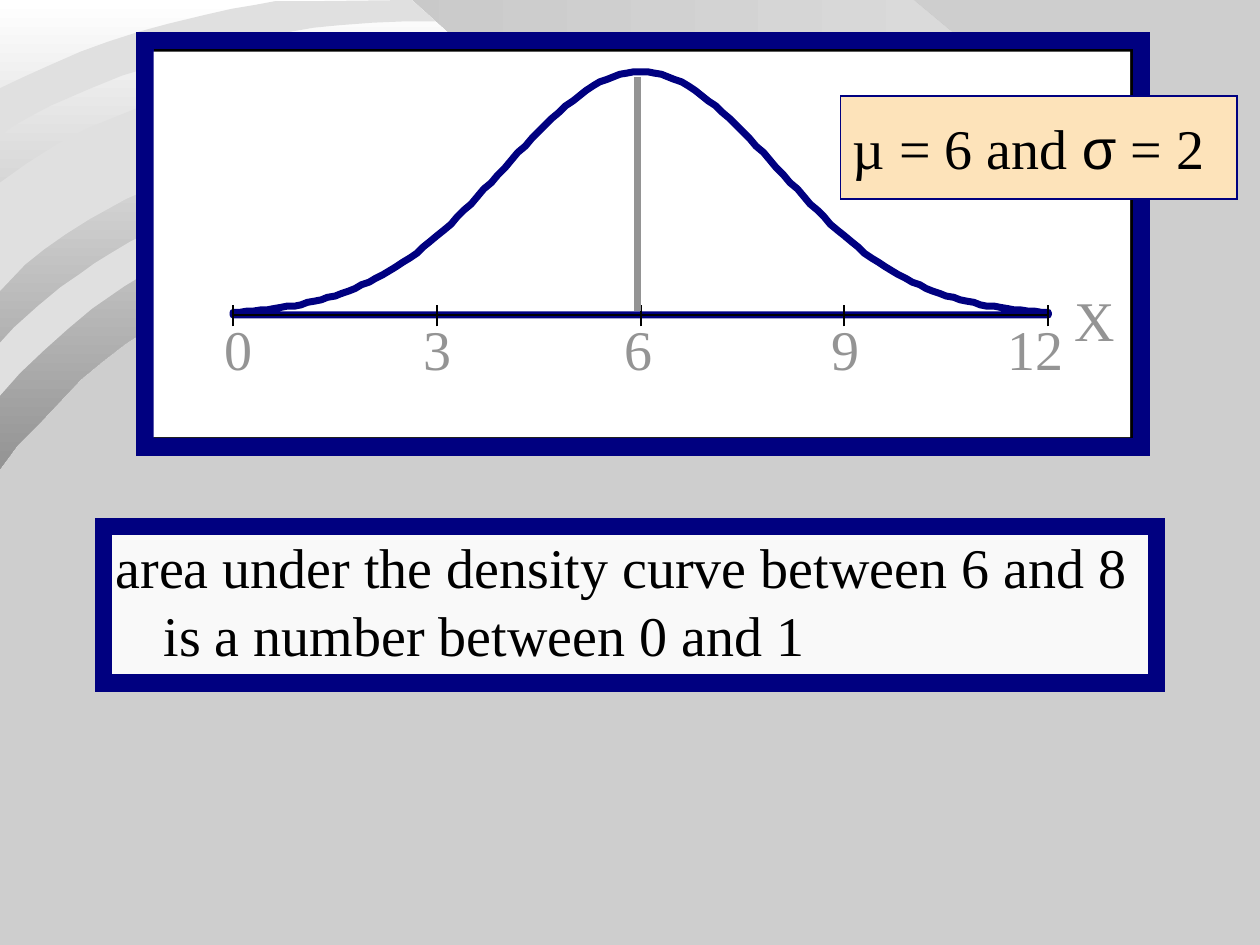
import math

import pptx
import pptx.util
import pptx.dml.color
import pptx.enum.shapes
import pptx.enum.text
import pptx.oxml.ns
import lxml.etree

PX = 9144  # 100 px to the inch
COLORS = {
    "backdrop": "CECECE", "band": "E0E0E0", "shade": "C9C9C9", "white": "FFFFFF",
    "gray": "949494", "navy": "000080", "black": "000000",
    "paper": "F9F9F9", "peach": "FDE3BA",
}
SERIF, SANS = "Times New Roman", "Arial"

FAN = [
    (371, 162), (366, 168), (360, 176), (357, 183), (356, 192), (356, 201), (358, 212),
    (364, 219), (371, 228), (385, 241), (399, 247), (414, 251), (426, 253), (441, 255),
    (457, 255), (477, 254), (492, 253), (509, 249), (525, 244), (540, 237), (558, 226),
    (569, 219), (579, 212), (590, 202), (598, 194), (605, 185), (614, 176), (623, 169),
    (633, 162), (646, 155), (660, 149), (677, 145), (692, 141), (707, 138), (726, 136),
    (744, 135), (762, 135), (810, 137), (860, 142), (906, 151), (725, 0), (298, 0),
]
SWEEP = [
    (0, 372), (14, 353), (32, 335), (48, 318), (64, 301), (81, 287), (99, 273), (124, 257),
    (143, 245), (185, 223), (226, 205), (267, 191), (305, 179), (347, 166), (364, 161),
    (382, 157), (397, 153), (414, 152), (429, 152), (444, 153), (457, 155), (469, 158),
    (481, 163), (491, 170), (500, 180), (499, 170), (498, 164), (494, 155), (489, 148),
    (483, 142), (476, 135), (327, 0), (0, 0),
]
BANDS = [
    [(0, 70), (19, 61), (39, 52), (64, 41), (86, 33), (111, 25), (133, 19), (162, 12),
     (184, 7), (202, 4), (218, 1), (241, 1), (327, 0), (346, 17), (321, 17), (296, 18),
     (270, 20), (249, 22), (226, 26), (206, 30), (185, 35), (166, 40), (154, 44),
     (127, 51), (97, 60), (70, 71), (40, 84), (23, 93), (9, 101), (0, 108)],
    [(0, 145), (21, 130), (46, 114), (69, 102), (96, 91), (123, 80), (154, 71), (184, 61),
     (214, 54), (243, 49), (269, 44), (292, 40), (318, 36), (367, 36), (423, 87), (409, 85),
     (391, 83), (374, 83), (354, 85), (328, 89), (311, 91), (294, 95), (256, 103),
     (218, 113), (190, 122), (163, 131), (132, 144), (100, 158), (71, 174), (52, 186),
     (35, 198), (20, 210), (0, 231)],
    [(0, 272), (11, 260), (30, 243), (48, 228), (64, 217), (75, 209), (88, 201), (103, 192),
     (126, 180), (152, 168), (183, 155), (214, 144), (242, 135), (272, 127), (302, 120),
     (332, 114), (363, 109), (385, 106), (409, 104), (427, 104), (443, 105), (481, 138),
     (465, 130), (451, 126), (437, 125), (424, 125), (410, 126), (395, 127), (378, 130),
     (362, 132), (326, 140), (285, 149), (256, 157), (228, 167), (194, 179), (163, 193),
     (131, 208), (114, 218), (99, 227), (73, 245), (54, 261), (35, 278), (16, 296), (0, 314)],
]


def rgb(name):
    return pptx.dml.color.RGBColor.from_string(COLORS[name])


def paint(shape, fill, line=None, weight=1):
    shape.shadow.inherit = False
    shape.fill.solid()
    shape.fill.fore_color.rgb = rgb(fill)
    if line:
        shape.line.color.rgb = rgb(line)
        shape.line.width = pptx.util.Pt(weight)
    else:
        shape.line.fill.background()
    return shape


def add_rect(slide, left, top, width, height, fill, line=None, weight=1):
    """Add a rectangle whose border, if any, has square corners."""
    rect = slide.shapes.add_shape(
        pptx.enum.shapes.MSO_SHAPE.RECTANGLE, left * PX, top * PX, width * PX, height * PX)
    paint(rect, fill, line, weight)
    if line:
        border = rect._element.spPr.find(pptx.oxml.ns.qn("a:ln"))
        lxml.etree.SubElement(border, pptx.oxml.ns.qn("a:miter")).set("lim", "800000")
    return rect


def add_outline(slide, left, top, points, fill, line=None, weight=1):
    builder = slide.shapes.build_freeform(*points[0], scale=PX)
    builder.add_line_segments(points[1:], close=True)
    return paint(builder.convert_to_shape(left * PX, top * PX), fill, line, weight)


def add_line(slide, x1, y1, x2, y2, color, weight=1):
    line = slide.shapes.add_connector(
        pptx.enum.shapes.MSO_CONNECTOR.STRAIGHT, x1 * PX, y1 * PX, x2 * PX, y2 * PX)
    line.line.color.rgb = rgb(color)
    line.line.width = pptx.util.Pt(weight)
    lxml.etree.SubElement(line._element.spPr, pptx.oxml.ns.qn("a:effectLst"))


def write(shape, *runs, color="black", size=32, wrap=True, hanging=0, anchor="TOP"):
    """Fill a shape with one paragraph of (text, font) runs."""
    frame = shape.text_frame
    frame.word_wrap = wrap
    if not wrap:
        frame.auto_size = pptx.enum.text.MSO_AUTO_SIZE.SHAPE_TO_FIT_TEXT
    frame.vertical_anchor = pptx.enum.text.MSO_ANCHOR[anchor]
    frame.margin_left = frame.margin_right = 10 * PX
    frame.margin_top = frame.margin_bottom = 5 * PX
    paragraph = frame.paragraphs[0]
    paragraph.alignment = pptx.enum.text.PP_ALIGN.LEFT
    if hanging:
        properties = paragraph._p.get_or_add_pPr()
        properties.set("marL", str(hanging * PX))
        properties.set("indent", str(-hanging * PX))
    for text, font in runs:
        run = paragraph.add_run()
        run.text = text
        run.font.name = font
        run.font.size = pptx.util.Pt(size)
        run.font.color.rgb = rgb(color)


def add_label(slide, text, left, top, width):
    label = slide.shapes.add_textbox(left * PX, top * PX, width * PX, 63 * PX)
    write(label, (text, SERIF), color="gray", wrap=False)


def add_backdrop(slide, left, top):
    slide.background.fill.solid()
    slide.background.fill.fore_color.rgb = rgb("backdrop")
    for points, colors, angle in ((FAN, ("shade", "band"), 0), (SWEEP, ("white", "gray"), 270)):
        fill = add_outline(slide, left, top, points, "white").fill
        fill.gradient()
        fill.gradient_angle = angle
        for stop, color in zip(fill.gradient_stops, colors):
            stop.color.rgb = rgb(color)
    for points in BANDS:
        add_outline(slide, left, top, points, "band")


def add_density_plot(slide, left, top, width, height):
    add_rect(slide, left, top, width, height, "black", "navy", 10)
    add_rect(slide, left + 7, top + 9, width - 16, height - 17, "white")

    axis_left, axis_y, axis_width, peak = left + 70, top + 218, 647, 193
    steps = 120
    curve = []
    for step in range(steps + 1):
        z = 6 * step / steps - 3
        rise = peak * math.exp(-z * z / 2)
        curve.append((round(axis_width * step / steps), -round(rise)))
    curve += [(axis_width, 0), (0, 0)]
    add_outline(slide, axis_left, axis_y, curve, "white", "navy", 4)

    add_line(slide, axis_left, axis_y, axis_left + axis_width, axis_y, "black")
    labels = (("0", 53, 42), ("3", 211, 42), ("6", 371, 42), ("9", 535, 42), ("12", 675, 66))
    for index, (text, offset, label_width) in enumerate(labels):
        tick = axis_left + round(axis_width * index / 4)
        add_line(slide, tick, axis_y + 9, tick, axis_y - 8, "black")
        add_label(slide, text, left + offset, top + 213, label_width)
    add_line(slide, left + 391, top + 29, left + 391, axis_y - 3, "gray", 4)
    add_label(slide, "X", left + 728, top + 190, 52)


def add_parameters(slide, left, top, width, height):
    box = add_rect(slide, left, top, width, height, "peach", "navy")
    write(box, ("µ = 6 and ", SERIF), ("σ", SANS), (" = 2", SERIF), hanging=38, anchor="MIDDLE")


def add_statement(slide, left, top, width, height):
    box = add_rect(slide, left, top, width, height, "paper", "navy", 10)
    write(box, ("area under the density curve between 6 and 8 is a number between 0 and 1", SERIF),
          hanging=38)


def main():
    deck = pptx.Presentation()
    deck.slide_width, deck.slide_height = 1000 * PX, 750 * PX
    slide = deck.slides.add_slide(deck.slide_layouts[6])
    add_backdrop(slide, 0, 0)
    add_statement(slide, 82, 418, 836, 124)
    add_density_plot(slide, 115, 32, 791, 323)
    add_parameters(slide, 667, 76, 315, 82)
    deck.save("out.pptx")


if __name__ == "__main__":
    main()
